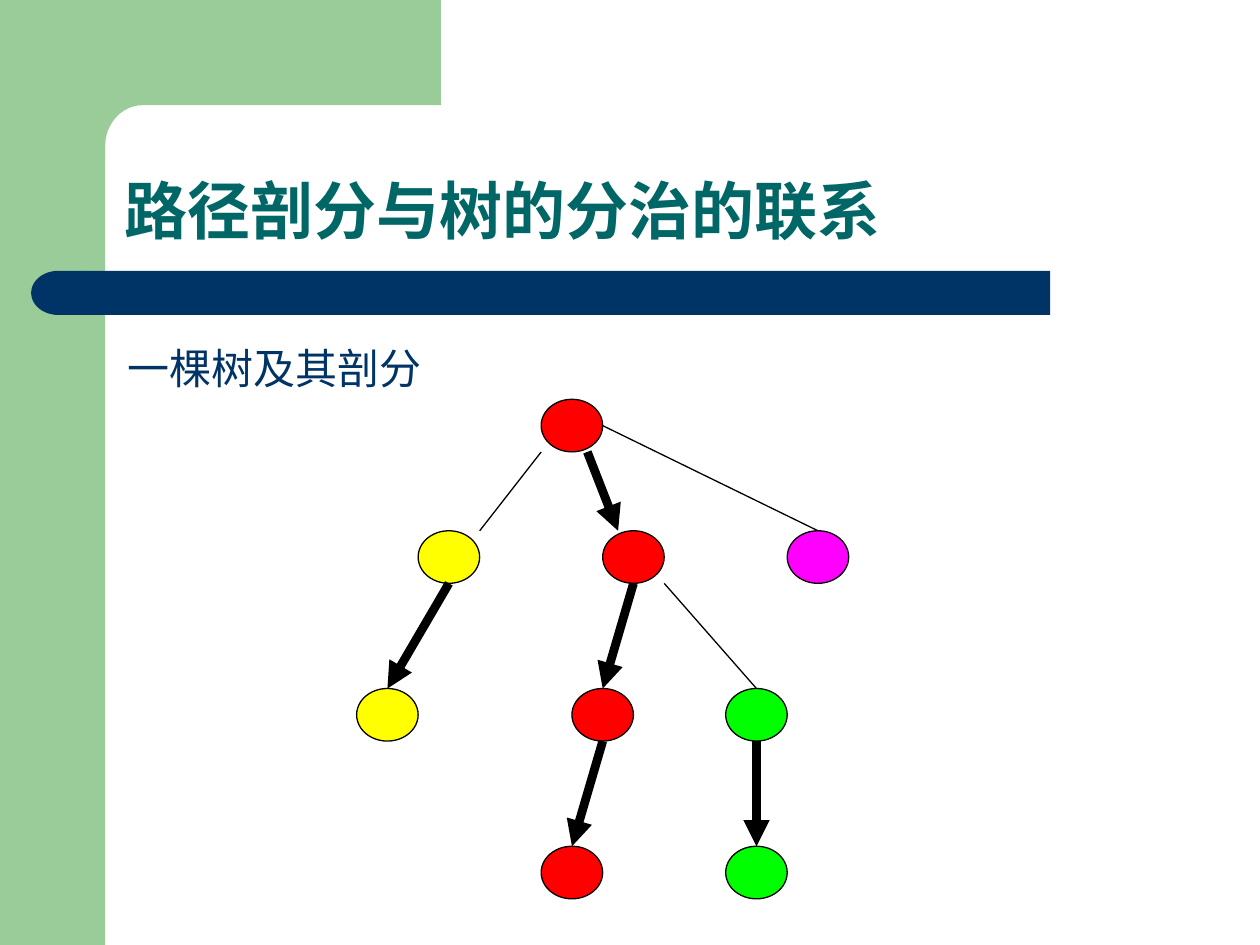
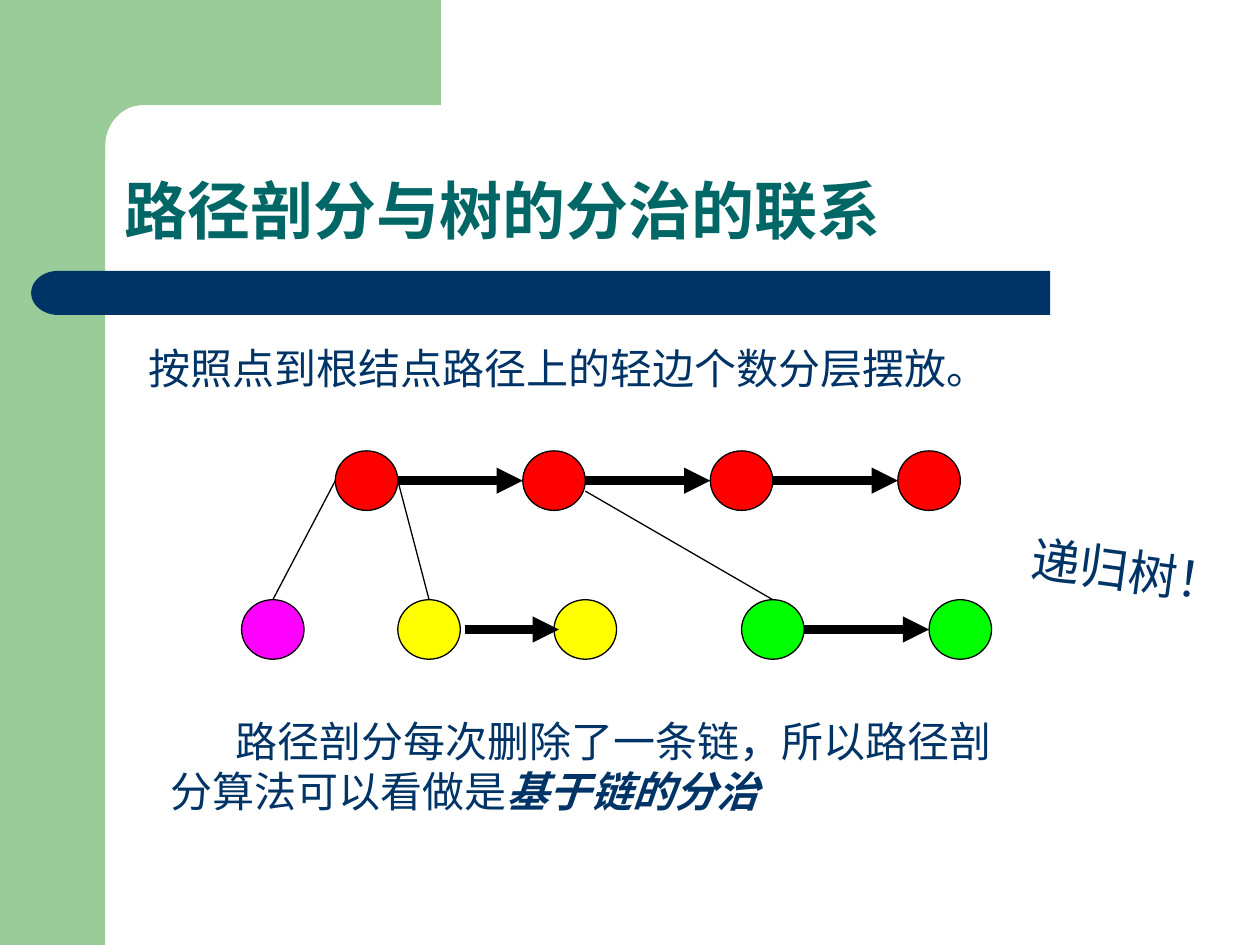
from math import cos, pi, sin

from pptx import Presentation
from pptx.dml.color import RGBColor
from pptx.enum.shapes import MSO_CONNECTOR, MSO_SHAPE
from pptx.enum.text import MSO_ANCHOR, MSO_AUTO_SIZE
from pptx.oxml.ns import qn
from pptx.util import Cm, Pt

RECT, OVAL, DELAY = MSO_SHAPE.RECTANGLE, MSO_SHAPE.OVAL, MSO_SHAPE.FLOWCHART_DELAY
LINE = MSO_CONNECTOR.STRAIGHT
TOP, BOTTOM = MSO_ANCHOR.TOP, MSO_ANCHOR.BOTTOM
GROW = MSO_AUTO_SIZE.SHAPE_TO_FIT_TEXT

FONT = "Arial"
COLORS = {
    "leaf": "99CC99", "navy": "003366", "teal": "006666", "black": "000000",
    "red": "FF0000", "yellow": "FFFF00", "pink": "FF00FF", "green": "00FF00",
}
THIN, THICK = 0.75, 5
TITLE = "路径剖分与树的分治的联系"


def color(name):
    return RGBColor.from_string(COLORS[name])


class Deck:
    def __init__(self):
        self.prs = Presentation()
        self.prs.slide_width, self.prs.slide_height = Cm(25.4), Cm(19.05)
        self.shapes = None

    def slide(self, title):
        self.shapes = self.prs.slides.add_slide(self.prs.slide_layouts[6]).shapes
        self.shape(RECT, 0, 0, 2.12, 19.05, "leaf")
        self.corner()
        self.shape(RECT, 1.7, 5.46, 19.47, 0.89, "navy")
        cap = self.shape(DELAY, 0.63, 5.46, 1.09, 0.89, "navy")
        cap.element.spPr.find(qn("a:xfrm")).set("flipH", "1")
        self.text([title], 2.26, 2.26, 21.69, 2.87, size=36, hue="teal",
                  bold=True, anchor=BOTTOM, before=0, spacing=0.9, grow=False)

    def paint(self, shape, fill, line=None):
        shape.shadow.inherit = False
        shape.fill.solid()
        shape.fill.fore_color.rgb = color(fill)
        if line:
            shape.line.color.rgb = color(line)
            shape.line.width = Pt(THIN)
        else:
            shape.line.fill.background()
        return shape

    def shape(self, kind, x, y, w, h, fill, line=None):
        shape = self.shapes.add_shape(kind, Cm(x), Cm(y), Cm(w), Cm(h))
        return self.paint(shape, fill, line)

    def corner(self):
        """Green top band whose inner corner is a quarter of an ellipse."""
        steps = 12
        turns = [pi / 2 * i / steps for i in range(steps + 1)]
        arc = [(2.88 - 0.76 * sin(t), 2.95 - 0.83 * cos(t)) for t in turns]
        points = [(8.89, 2.12), *arc, (2.12, 3.25), (1.27, 3.25), (1.27, 0)]
        pen = self.shapes.build_freeform(Cm(8.89), Cm(0))
        pen.add_line_segments([(Cm(x), Cm(y)) for x, y in points])
        self.paint(pen.convert_to_shape(), "leaf")

    def text(self, runs, x, y, w, h, size=24, hue="navy", bold=False, anchor=TOP,
             before=15, spacing=None, indent=0, turn=0, grow=True):
        """Add one paragraph; a run given as a tuple is bold and italic."""
        box = self.shapes.add_textbox(Cm(x), Cm(y), Cm(w), Cm(h))
        box.rotation = turn
        frame = box.text_frame
        frame.word_wrap = True
        frame.vertical_anchor = anchor
        if grow:
            frame.auto_size = GROW
        para = frame.paragraphs[0]
        para.space_before = Pt(before)
        if spacing:
            para.line_spacing = spacing
        if indent:
            para._p.get_or_add_pPr().set("indent", str(Cm(indent)))
        for item in runs:
            strong = isinstance(item, tuple)
            run = para.add_run()
            run.text = item[0] if strong else item
            font = run.font
            font.name, font.size = FONT, Pt(size)
            font.bold, font.italic = bold or strong, strong
            font.color.rgb = color(hue)

    def link(self, start, end, width, node=None):
        line = self.shapes.add_connector(LINE, *start, *end)
        if node is not None:
            line.end_connect(node, 0)
        line.line.color.rgb = color("black")
        line.line.width = Pt(width)
        props = line.element.spPr
        if width == THICK:
            stroke = line.line._get_or_add_ln()
            stroke.append(stroke.makeelement(qn("a:tailEnd"), {"type": "triangle"}))
        props.append(props.makeelement(qn("a:effectLst"), {}))

    def graph(self, left, top, dx, dy, nodes, heavy, light):
        """Draw nodes and edges on a grid whose step is half a node."""
        def place(col, row):
            return Cm(left + col * dx), Cm(top + row * dy)

        tops = {}
        for hue, spots in nodes.items():
            for col, row in spots:
                tops[col + 1, row] = self.shape(
                    OVAL, left + col * dx, top + row * dy, 2 * dx, 2 * dy, hue, "black")
        for width, edges in ((THICK, heavy), (THIN, light)):
            for start, end in edges:
                self.link(place(*start), place(*end), width, tops.get(end))


def tree(deck):
    deck.slide(TITLE)
    deck.graph(
        7.19, 8.05, 0.62, 0.53,
        nodes={
            "red": [(6, 0), (8, 5), (7, 11), (6, 17)],
            "yellow": [(2, 5), (0, 11)],
            "pink": [(14, 5)],
            "green": [(12, 11), (12, 17)],
        },
        heavy=[((3, 7), (1, 11)), ((7.5, 2), (8.5, 5)), ((9, 7), (8, 11)),
               ((8, 13), (7, 17)), ((13, 13), (13, 17))],
        light=[((6, 2), (4, 5)), ((8, 1), (15, 5)), ((10, 7), (13, 11))],
    )
    deck.text(["一棵树及其剖分"], 2.33, 6.77, 8.47, 1.27)


def layers(deck):
    deck.slide(TITLE)
    deck.graph(
        4.87, 9.09, 0.63, 0.6,
        nodes={
            "red": [(col, 0) for col in range(3, 22, 6)],
            "yellow": [(5, 5), (10, 5)],
            "pink": [(0, 5)],
            "green": [(16, 5), (22, 5)],
        },
        heavy=[((col, 1), (col + 4, 1)) for col in (5, 11, 17)]
        + [((18, 6), (22, 6)), ((7.15, 6), (10.15, 6))],
        light=[((3, 1), (1, 5)), ((5, 1), (6, 5)), ((11, 1.35), (17, 5))],
    )
    deck.text(["路径剖分每次删除了一条链，所以路径剖分算法可以看做是", ("基于链的分治",)],
              3.18, 14.29, 17.36, 2.29, indent=1.32)
    deck.text(["按照点到根结点路径上的轻边个数分层摆放。"], 2.74, 6.77, 21.39, 1.27)
    deck.text(["递归树！"], 20.53, 10.8, 4.87, 1.45, size=28, before=17.5, turn=7.7)


def main():
    deck = Deck()
    tree(deck)
    layers(deck)
    deck.prs.save("out.pptx")


if __name__ == "__main__":
    main()
